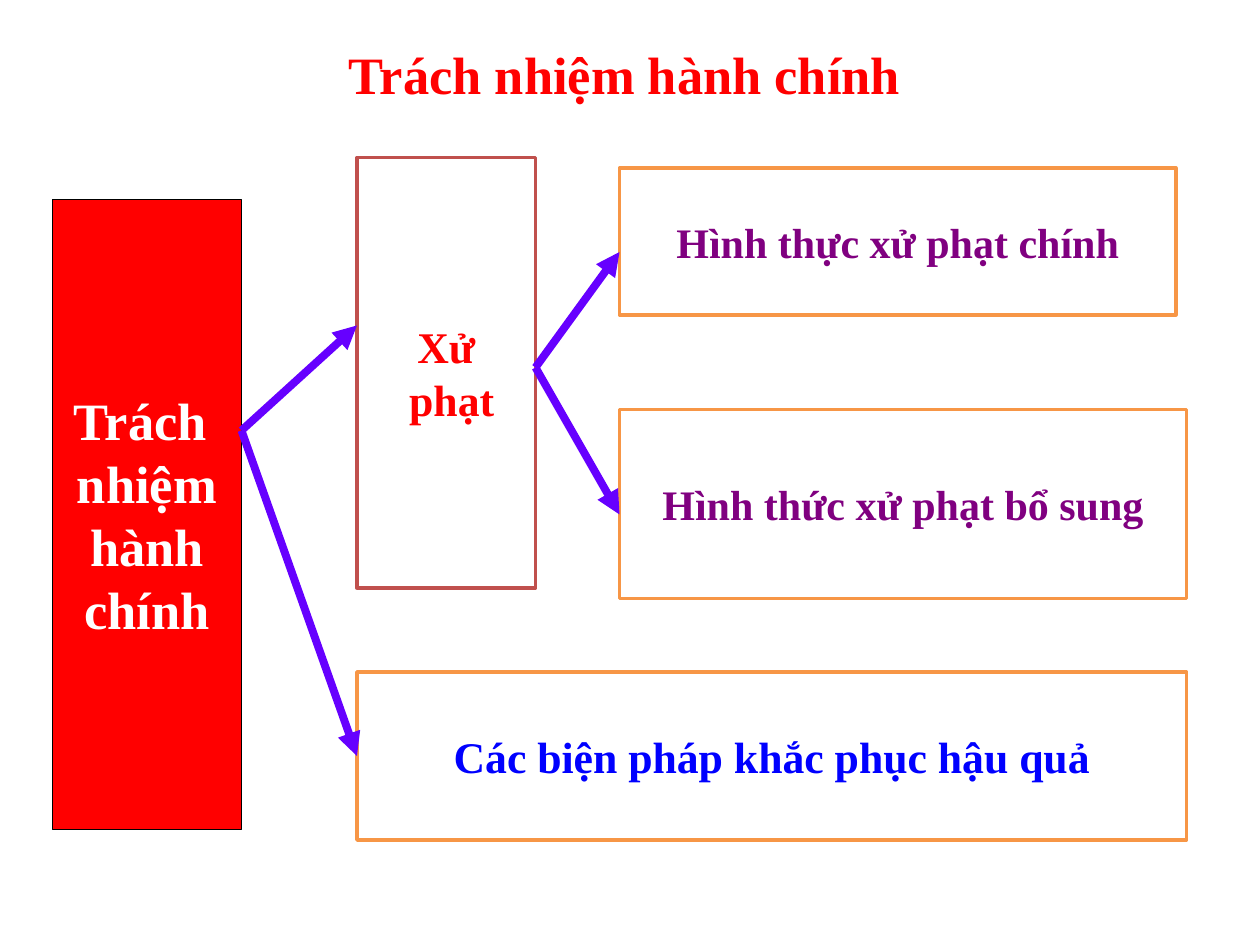
from lxml.etree import SubElement
from pptx import Presentation
from pptx.dml.color import RGBColor
from pptx.enum.shapes import MSO_CONNECTOR, MSO_SHAPE
from pptx.enum.text import MSO_ANCHOR, PP_ALIGN
from pptx.oxml.ns import qn
from pptx.util import Inches, Pt

COLUMNS, ROWS = 120, 90
FONT = "Times New Roman"
RED, WHITE, BLACK = "FF0000", "FFFFFF", "000000"
BRICK, ORANGE = "C0504D", "F79646"
PURPLE, BLUE, VIOLET = "800080", "0000FF", "6600FF"


def colour(value):
    return RGBColor.from_string(value)


def grid(*cells):
    return [Inches(cell * 10 / COLUMNS) for cell in cells]


def write(frame, text, size=24, color=BLACK, wrap=False):
    frame.word_wrap = wrap
    frame.vertical_anchor = MSO_ANCHOR.MIDDLE
    for index, line in enumerate(text.split("\n")):
        para = frame.paragraphs[0] if index == 0 else frame.add_paragraph()
        para.alignment = PP_ALIGN.CENTER
        span = para.add_run()
        span.text = line
        span.font.name = FONT
        span.font.size = Pt(size)
        span.font.bold = True
        span.font.color.rgb = colour(color)


def add_title(page, box, text):
    title = page.shapes.title
    title.left, title.top, title.width, title.height = grid(*box)
    write(title.text_frame, text, size=30, color=RED, wrap=True)


def add_box(page, box, text, fill=WHITE, line=ORANGE, weight=2, **text_format):
    shape = page.shapes.add_shape(MSO_SHAPE.RECTANGLE, *grid(*box))
    shape.shadow.inherit = False
    shape.fill.solid()
    shape.fill.fore_color.rgb = colour(fill)
    shape.line.color.rgb = colour(line)
    shape.line.width = Pt(weight)
    write(shape.text_frame, text, **text_format)


def add_arrow(page, start, end):
    arrow = page.shapes.add_connector(MSO_CONNECTOR.STRAIGHT, *grid(*start, *end))
    arrow.line.color.rgb = colour(VIOLET)
    arrow.line.width = Pt(4.5)
    properties = arrow._element.spPr
    SubElement(properties.find(qn("a:ln")), qn("a:tailEnd"), type="triangle")
    SubElement(properties, qn("a:effectLst"))


def add_branches(page, start, ends):
    for end in ends:
        add_arrow(page, start, end)


def add_tree(page, box):
    left, top, width, height = box
    middle, inner = left + 29, left + 54
    right = left + width
    add_box(page, (left, top + 4, 18, 60), "Trách \nnhiệm\nhành\nchính",
            fill=RED, line=BLACK, weight=0.75, size=30, color=WHITE)
    add_box(page, (middle, top, 17, 41), "Xử\n phạt", line=BRICK, size=25, color=RED)
    add_box(page, (inner, top + 1, right - inner - 1, 14),
            "Hình thực xử phạt chính", color=PURPLE)
    add_box(page, (inner, top + 24, right - inner, 18),
            "Hình thức xử phạt bổ sung", color=PURPLE)
    add_box(page, (middle, top + height - 16, right - middle, 16),
            "Các biện pháp khắc phục hậu quả", size=25, color=BLUE)
    add_branches(page, (left + 18, top + 26),
                 [(middle, top + 16), (middle, top + height - 8)])
    add_branches(page, (middle + 17, top + 20),
                 [(inner, top + 9), (inner, top + 34)])


def main():
    deck = Presentation()
    deck.slide_width, deck.slide_height = grid(COLUMNS, ROWS)
    page = deck.slides.add_slide(deck.slide_layouts[5])
    add_title(page, (3, 2, 113, 10), "Trách nhiệm hành chính")
    add_tree(page, (5, 15, 108, 65))
    deck.save("out.pptx")


if __name__ == "__main__":
    main()
